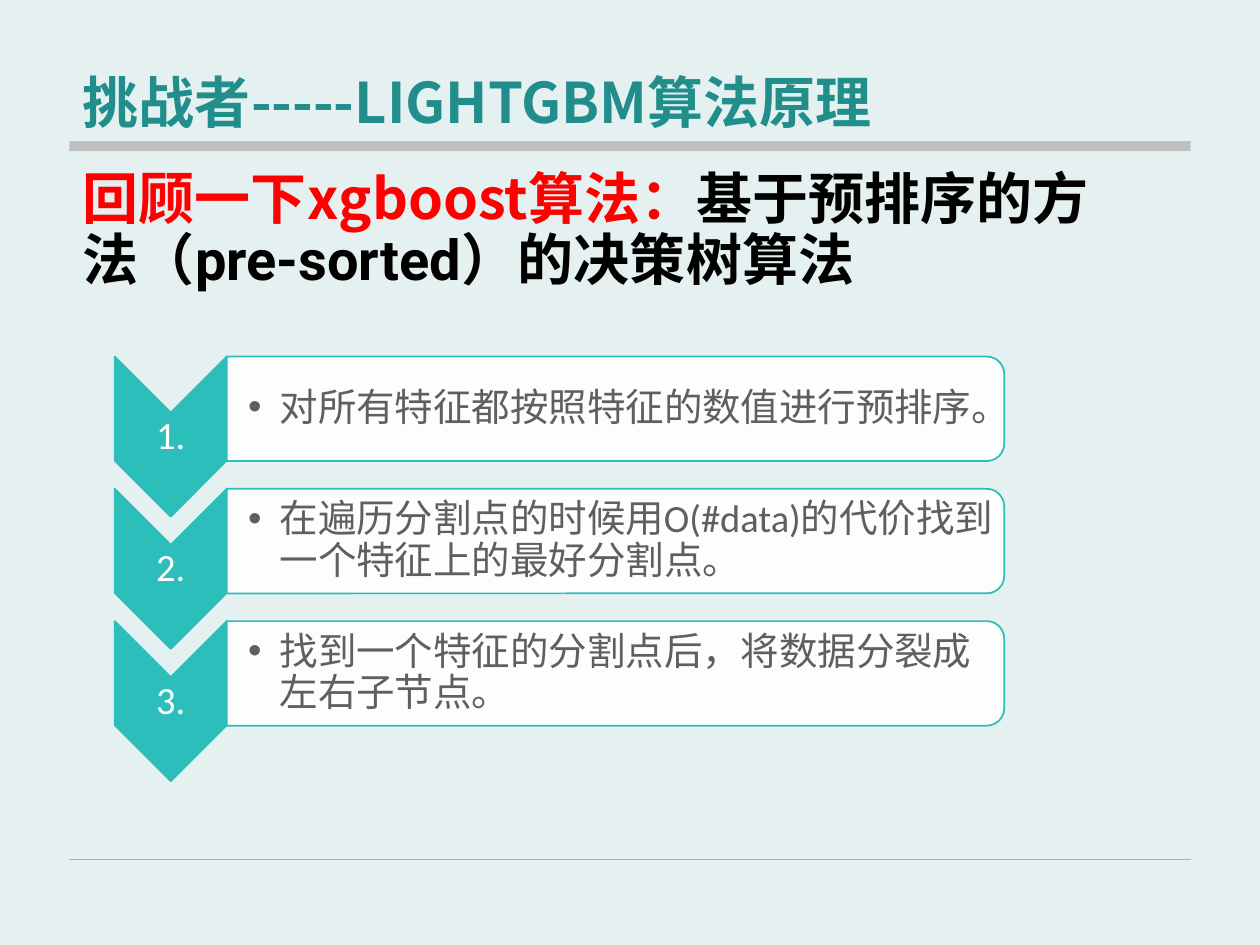
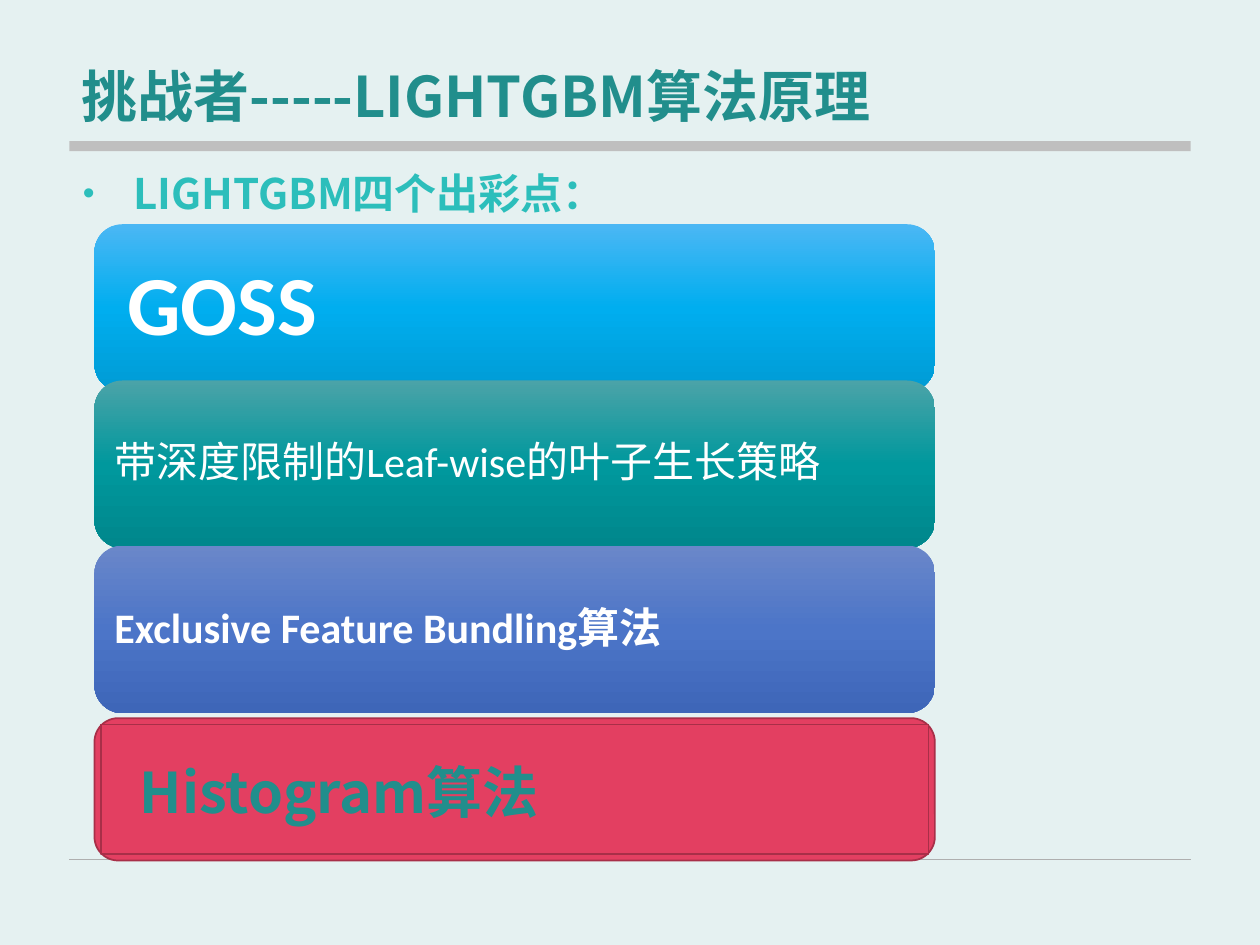
import copy
from dataclasses import dataclass

import pptx
import pptx.dml.color
import pptx.enum.shapes
import pptx.enum.text
import pptx.oxml.ns
import pptx.util
from lxml import etree

qn = pptx.oxml.ns.qn
SHAPE = pptx.enum.shapes.MSO_SHAPE
ALIGN = pptx.enum.text.PP_ALIGN
ANCHOR = pptx.enum.text.MSO_ANCHOR


@dataclass(frozen=True)
class Theme:
    back: str = "E5F1F1"
    band: str = "BFBFBF"
    rule: str = "AFAFAF"
    title: str = "218E8C"
    accent: str = "2CBEBB"
    alert: str = "FF0000"
    ink: str = "000000"
    body: str = "5F5F5F"
    white: str = "FFFFFF"
    rose: str = "E33F61"
    rose_edge: str = "A82F48"
    sky: tuple = ("4BB7F4", "00AEEF", "009BD4")
    teal: tuple = ("4BA3A8", "00989D", "00878C")
    indigo: tuple = ("6A87C9", "4C75C8", "3E66B8")
    cjk: str = "Noto Sans CJK SC"
    latin: str = "Calibri"
    strong: str = "Roboto"
    title_size: int = 32
    lead_size: int = 24
    step_size: int = 22
    hero_size: int = 48


T = Theme()

# The slide is a grid of 10 columns by 7.5 rows
COLS, ROWS = 10, 7.5
COL, ROW = pptx.util.Inches(10) / COLS, pptx.util.Inches(7.5) / ROWS


@dataclass(frozen=True)
class Box:
    x: float
    y: float
    w: float
    h: float

    def within(self, dx, dy, w, h):
        """A box placed from this box's top left corner, in grid units."""
        return Box(self.x + dx, self.y + dy, w, h)

    def inset(self, d):
        return self.within(d, d, self.w - 2 * d, self.h - 2 * d)

    def turned(self):
        """The frame that fills this box after a quarter turn."""
        return self.within((self.w - self.h) / 2, (self.h - self.w) / 2, self.h, self.w)

    def emu(self):
        return round(self.x * COL), round(self.y * ROW), round(self.w * COL), round(self.h * ROW)


def rgb(color):
    return pptx.dml.color.RGBColor.from_string(color)


def apply(target, values):
    for name, value in values.items():
        setattr(target, name, value)


def add_run(p, text, size, color, font=T.cjk, bold=False):
    r = p.add_run()
    r.text = text
    apply(r.font, {"size": pptx.util.Pt(size), "name": font, "bold": bold})
    r.font.color.rgb = rgb(color)
    ea = etree.SubElement(r._r.get_or_add_rPr(), qn("a:ea"))
    ea.set("typeface", T.cjk)


def add_text(s, box, runs, margins=(0.1, 0.05), frame=None, para=None):
    """Text box with one paragraph; margins are left/right and top/bottom, or all four."""
    sp = s.shapes.add_textbox(*box.emu())
    tf = sp.text_frame
    left, top, right, bottom = margins if len(margins) == 4 else margins * 2
    sides = {"margin_left": left, "margin_top": top, "margin_right": right, "margin_bottom": bottom}
    apply(tf, {name: pptx.util.Inches(v) for name, v in sides.items()})
    apply(tf, {"word_wrap": True, **(frame or {})})
    p = tf.paragraphs[0]
    apply(p, para or {})
    for run in runs:
        add_run(p, *run)
    return p


def add_bullet(p, indent, color=None, percent=None):
    pPr = p._p.get_or_add_pPr()
    width = pptx.util.Inches(indent)
    pPr.set("marL", str(width))
    pPr.set("indent", str(-width))
    if color:
        clr = etree.SubElement(pPr, qn("a:buClr"))
        etree.SubElement(clr, qn("a:srgbClr")).set("val", color)
    if percent:
        etree.SubElement(pPr, qn("a:buSzPct")).set("val", str(percent * 1000))
    etree.SubElement(pPr, qn("a:buFont")).set("typeface", "Arial")
    etree.SubElement(pPr, qn("a:buChar")).set("char", "•")


def fill_gradient(sp, colors):
    sp.fill.gradient()
    sp.fill.gradient_angle = 270
    stops = sp._element.spPr.find(qn("a:gradFill")).find(qn("a:gsLst"))
    stops.insert(1, copy.deepcopy(stops[0]))
    for i, (stop, color) in enumerate(zip(sp.fill.gradient_stops, colors)):
        stop.color.rgb = rgb(color)
        stop.position = i / (len(colors) - 1)


def add_block(s, kind, box, fill, line=None, turn=False, alpha=None):
    sp = s.shapes.add_shape(kind, *(box.turned() if turn else box).emu())
    sp.rotation = 90 if turn else 0
    sp.shadow.inherit = False
    if isinstance(fill, tuple):
        fill_gradient(sp, fill)
    else:
        sp.fill.solid()
        sp.fill.fore_color.rgb = rgb(fill)
    if alpha:
        clr = sp._element.spPr.find(qn("a:solidFill"))[0]
        etree.SubElement(clr, qn("a:alpha")).set("val", str(alpha * 1000))
    if line:
        sp.line.color.rgb = rgb(line)
        sp.line.width = pptx.util.Pt(1)
    else:
        sp.line.fill.background()


def add_base(prs):
    """Blank slide with the shared background, band and footer rule."""
    s = prs.slides.add_slide(prs.slide_layouts[6])
    s.background.fill.solid()
    s.background.fill.fore_color.rgb = rgb(T.back)
    frame = Box(0.55, 1.12, 8.9, 5.7)
    left, bottom = round(frame.x * COL), round((frame.y + frame.h) * ROW)
    rule = s.shapes.add_connector(pptx.enum.shapes.MSO_CONNECTOR.STRAIGHT, left, bottom,
                                  round((frame.x + frame.w) * COL), bottom)
    rule.line.color.rgb = rgb(T.rule)
    rule.line.width = pptx.util.Pt(0.5)
    etree.SubElement(rule._element.spPr, qn("a:effectLst"))
    add_block(s, SHAPE.RECTANGLE, frame.within(0, 0, frame.w, 0.08), T.band)
    return s


def add_title(s, box):
    add_text(s, box, [("挑战者-----LIGHTGBM算法原理", T.title_size, T.title, T.cjk, True)])


def add_steps(s, box, steps):
    """Numbered chevrons down the left, each with a panel to its right."""
    pitch, arrow_w, arrow_h, panel_h = 1.05, 0.89, 1.27, 0.83
    for i, step in enumerate(steps):
        row = box.within(0, i * pitch, box.w, arrow_h)
        add_block(s, SHAPE.CHEVRON, row.within(0, 0, arrow_w, arrow_h), T.accent, T.accent, turn=True)
        add_text(s, row.within(0, 0.45, arrow_w, 0.38),
                 [(f"{i + 1}.", T.step_size, T.white, T.latin)], (0.02, 0.02),
                 {"vertical_anchor": ANCHOR.MIDDLE},
                 {"alignment": ALIGN.CENTER, "line_spacing": 0.9})
        panel = row.within(arrow_w, 0, row.w - arrow_w, panel_h)
        add_block(s, SHAPE.ROUND_2_SAME_RECTANGLE, panel, T.white, T.accent, turn=True, alpha=90)
        p = add_text(s, panel.within(0, 0.04, panel.w - 0.04, panel.h - 0.08),
                     [(step, T.step_size, T.body, T.latin)], (0.17, 0.02, 0.02, 0.02),
                     {"vertical_anchor": ANCHOR.MIDDLE}, {"line_spacing": 0.9})
        add_bullet(p, 0.25)


def add_bars(s, box, bars):
    """Stacked gradient bars, each at its own distance from the top."""
    bar_h = 1.33
    for top, colors, text, size, bold, margin in bars:
        bar = box.within(0, top, box.w, bar_h)
        add_block(s, SHAPE.ROUNDED_RECTANGLE, bar, colors)
        add_text(s, bar.inset(0.06), [(text, size, T.white, T.latin, bold)], (margin, margin),
                 {"vertical_anchor": ANCHOR.MIDDLE}, {"line_spacing": 0.9})


def add_histogram(s, box):
    """Rounded block with an inner frame and a label."""
    add_block(s, SHAPE.ROUNDED_RECTANGLE, box, T.rose, T.rose_edge)
    add_block(s, SHAPE.RECTANGLE, box.inset(0.05), T.rose, T.rose_edge)
    add_text(s, box.within(0.26, 0.26, 3.49, 0.64),
             [("Histogram算法", T.title_size, T.title, T.cjk, True)], frame={"word_wrap": False})


def review_slide(prs):
    s = add_base(prs)
    add_text(s, Box(0.56, 1.12, 8.22, 1.44), [
        ("回顾一下xgboost算法：", T.title_size, T.alert, T.cjk, True),
        ("基于预排序的方法（pre-sorted）的决策树算法", T.title_size, T.ink, T.strong, True),
    ], frame={"vertical_anchor": ANCHOR.MIDDLE}, para={"line_spacing": 0.9})
    add_steps(s, Box(0.91, 2.83, 7.06, 3.38), [
        "对所有特征都按照特征的数值进行预排序。",
        "在遍历分割点的时候用O(#data)的代价找到一个特征上的最好分割点。",
        "找到一个特征的分割点后，将数据分裂成左右子节点。",
    ])
    add_title(s, Box(0.56, 0.49, 8.33, 0.64))


def highlights_slide(prs):
    s = add_base(prs)
    p = add_text(s, Box(0.56, 1.24, 7.05, 3.6),
                 [("LIGHTGBM四个出彩点：", T.lead_size, T.accent, T.cjk, True)],
                 para={"alignment": ALIGN.JUSTIFY, "line_spacing": 1.1,
                       "space_before": pptx.util.Pt(12)})
    add_bullet(p, 0.4, T.accent, 80)
    stack = Box(0.75, 1.78, 6.67, 5.05)
    add_bars(s, stack, [
        (0, T.sky, "GOSS", T.hero_size, True, 0.2),
        (1.24, T.teal, "带深度限制的Leaf-wise的叶子生长策略", T.lead_size, False, 0.1),
        (2.55, T.indigo, "Exclusive Feature Bundling算法", T.lead_size, True, 0.1),
    ])
    add_title(s, Box(0.55, 0.44, 7.44, 0.64))
    add_histogram(s, stack.within(0, 3.92, stack.w, 1.13))


def main():
    prs = pptx.Presentation()
    prs.slide_width, prs.slide_height = round(COLS * COL), round(ROWS * ROW)
    review_slide(prs)
    highlights_slide(prs)
    prs.save("out.pptx")


if __name__ == "__main__":
    main()
